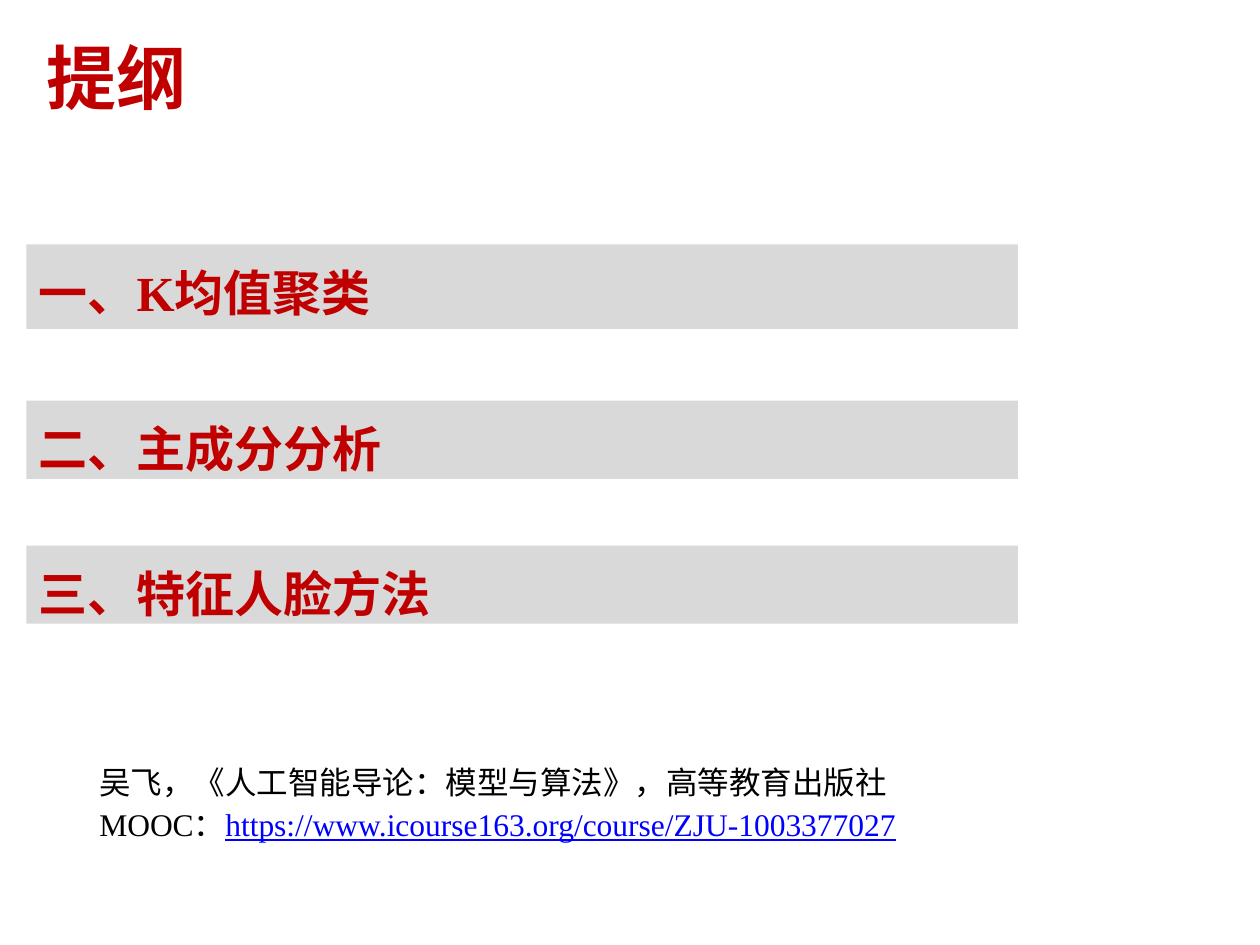
from pptx import Presentation, util as u
from pptx.dml.color import RGBColor
from pptx.enum import shapes, text

HEAD = "提纲"
ROWS = [
    ("一、K均值聚类", 1.94, 0.67),
    ("二、主成分分析", 3.18, 0.62),
    ("三、特征人脸方法", 4.33, 0.62),
]
BOOK = "吴飞，《人工智能导论：模型与算法》，高等教育出版社"
LINK = "https://www.icourse163.org/course/ZJU-1003377027"
NOTES = [
    [(BOOK, "000000", False)],
    [("MOOC：", "000000", False), (LINK, "0000FF", True)],
]


def paint(item, code):
    item.rgb = RGBColor.from_string(code)


def style(run, code, **form):
    paint(run.font.color, code)
    for key, val in {"name": "Times New Roman", **form}.items():
        setattr(run.font, key, val)


def place(shape, *box):
    for key, val in zip(("left", "top", "width", "height"), box):
        setattr(shape, key, u.Inches(val))


def setup(frame, **form):
    for key, val in {"word_wrap": True, **form}.items():
        setattr(frame, key, val)


def write(para, words, code, **form):
    para.alignment = text.PP_ALIGN.LEFT
    run = para.add_run()
    run.text = words
    style(run, code, **form)


deck = Presentation()
deck.slide_width, deck.slide_height = u.Inches(10), u.Inches(7.5)
slide = deck.slides.add_slide(deck.slide_layouts[5])

title = slide.shapes.title
place(title, 0.02, 0.11, 7.42, 0.99)
setup(title.text_frame, margin_left=u.Inches(0.35),
      vertical_anchor=text.MSO_ANCHOR.MIDDLE)
write(title.text_frame.paragraphs[0], HEAD, "C00000", size=u.Pt(40), bold=True)

for words, top, high in ROWS:
    bar = slide.shapes.add_shape(
        shapes.MSO_SHAPE.RECTANGLE,
        *map(u.Inches, (0.21, top, 7.87, high)))
    bar.shadow.inherit = False
    bar.fill.solid()
    paint(bar.fill.fore_color, "D9D9D9")
    bar.line.fill.background()
    setup(bar.text_frame, vertical_anchor=text.MSO_ANCHOR.TOP)
    para = bar.text_frame.paragraphs[0]
    para.line_spacing = 1.2
    write(para, words, "C00000", size=u.Pt(28), bold=True)

note = slide.shapes.add_textbox(*map(u.Inches, (0.69, 6.14, 8.34, 0.62)))
setup(note.text_frame)
for rank, parts in enumerate(NOTES):
    para = note.text_frame.add_paragraph() if rank else note.text_frame.paragraphs[0]
    para.line_spacing = u.Pt(12)
    para.space_before = u.Pt(12 * rank)
    for words, code, under in parts:
        write(para, words, code, size=u.Pt(18), underline=under)

deck.save("out.pptx")
